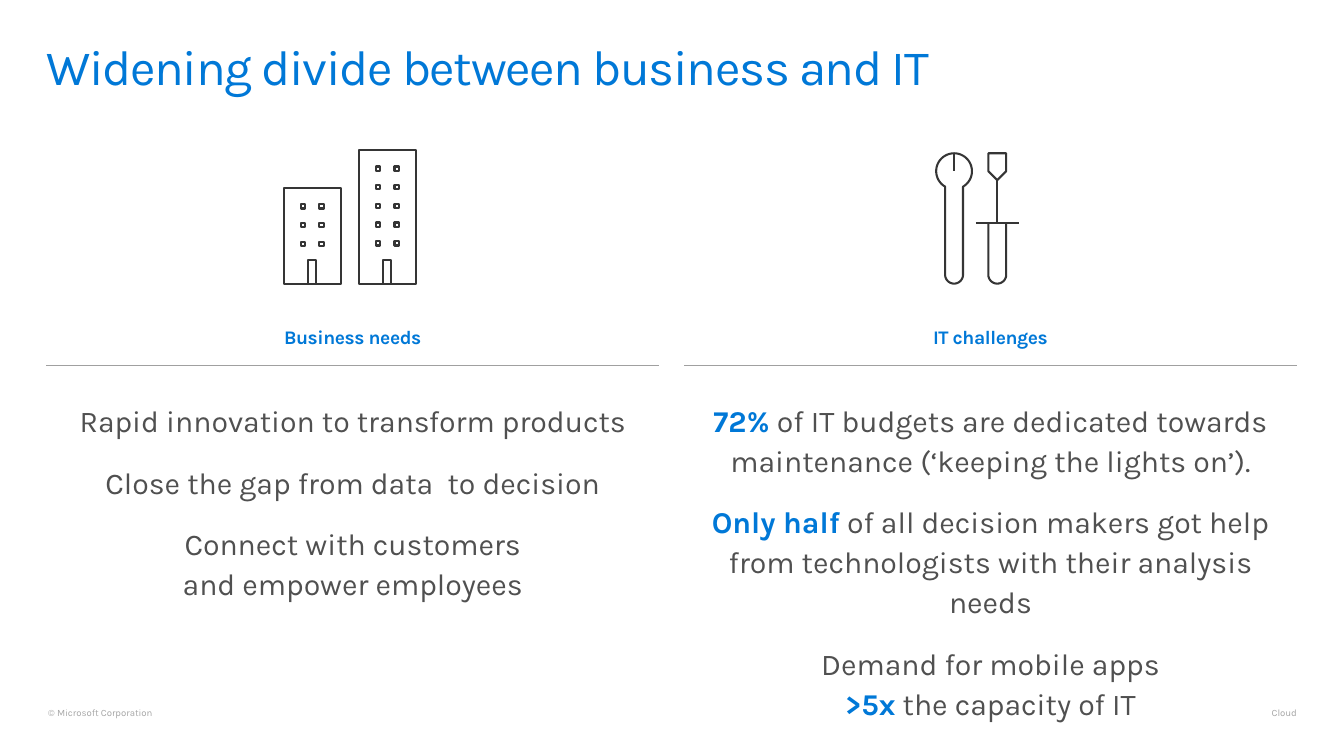
import math
from dataclasses import dataclass

from lxml import etree
from pptx import Presentation
from pptx.dml.color import RGBColor
from pptx.enum import shapes, text
from pptx.oxml import ns
from pptx.util import Cm, Pt


@dataclass(frozen=True)
class Theme:
    """Colours, font and type sizes of the slide."""
    accent: str = "0078D7"
    ink: str = "505050"
    icon: str = "353535"
    rule: str = "A0A0A0"
    muted: str = "A6A6A6"
    font: str = "Karla"
    title: int = 36
    body: int = 22
    label: int = 14
    footer: int = 7


THEME = Theme()
ALIGN = text.PP_ALIGN
BREAK = "\n"

BUSINESS_NEEDS = [
    ["Rapid innovation to transform products"],
    ["Close the gap from data  to decision"],
    ["Connect with customers", BREAK, "and empower employees"],
]
IT_CHALLENGES = [
    [("72%",), " of IT budgets are dedicated towards maintenance (‘keeping the lights on’)."],
    [("Only half",), " of all decision makers got help", BREAK,
     "from technologists with their analysis needs"],
    ["Demand for mobile apps", BREAK, (">5x",), " the capacity of IT"],
]


def apply(target, formats):
    """Set each attribute named in formats on target."""
    for name, value in formats.items():
        setattr(target, name, value)


def add_frame(slide, box, **formats):
    """Add a wrapping text box at box (cm) and return its text frame."""
    frame = slide.shapes.add_textbox(*map(Cm, box)).text_frame
    margins = dict.fromkeys(("margin_left", "margin_top", "margin_right", "margin_bottom"), 0)
    apply(frame, {"word_wrap": True, **margins, **formats})
    return frame


def add_run(paragraph, words, size, color, bold=False, tracking=0):
    """Append a formatted run; tracking is in hundredths of a point."""
    run = paragraph.add_run()
    run.text = words
    apply(run.font, {"name": THEME.font, "size": Pt(size), "bold": bold})
    run.font.color.rgb = RGBColor.from_string(color)
    if tracking:
        run.font._element.set("spc", str(tracking))


def add_line_of_text(slide, box, words, size, color, align=ALIGN.LEFT,
                     spacing=1.0, top=0, **run_formats):
    """Place a single paragraph in a box."""
    paragraph = add_frame(slide, box, margin_top=Cm(top)).paragraphs[0]
    apply(paragraph, {"alignment": align, "line_spacing": spacing})
    add_run(paragraph, words, size, color, **run_formats)


def add_outline(slide, left, top, contours):
    """Draw (points, closed) contours, in cm from left and top, as one line icon."""
    units = [([(x * 1000, y * 1000) for x, y in points], closed) for points, closed in contours]
    builder = slide.shapes.build_freeform(*units[0][0][0], scale=Cm(0.001))
    for index, (points, closed) in enumerate(units):
        if index:
            builder.move_to(*points[0])
        builder.add_line_segments(points[1:], close=closed)
    icon = builder.convert_to_shape(Cm(left), Cm(top))
    icon.shadow.inherit = False
    icon.fill.background()
    icon.line.color.rgb = RGBColor.from_string(THEME.icon)
    icon.line.width = Pt(1.5)


def rectangle(x, y, width, height):
    """Return a closed rectangular contour."""
    return [(x, y), (x + width, y), (x + width, y + height), (x, y + height)], True


def arc(x, y, radius, start, end, steps=40):
    """Return points along an arc, with angles in degrees clockwise from the right."""
    angles = [math.radians(start + (end - start) * i / steps) for i in range(steps + 1)]
    return [(x + radius * math.cos(a), y + radius * math.sin(a)) for a in angles]


def building(x, height, floors, ground=3.43):
    """Return the contours of a building with two windows on each floor and a door."""
    width, pitch, window = 1.47, 0.48, 0.11
    roof = ground - height
    windows = [rectangle(x + 0.44 + column * pitch, roof + 0.42 + floor * pitch, window, window)
               for floor in range(floors) for column in range(2)]
    door = rectangle(x + 0.63, ground - 0.6, 0.19, 0.6)
    return [rectangle(x, roof, width, height), door, *windows]


def draw_buildings(slide, left, top):
    """Draw the low and the high building."""
    add_outline(slide, left + 6.1, top, building(0, 2.46, 3) + building(1.93, 3.43, 5))


def draw_tools(slide, left, top):
    """Draw the wrench and the screwdriver."""
    radius, end = 0.23, 3.12
    wrench, driver, guard = 0.46, 1.57, 1.8
    head = arc(wrench, 0.46, 2 * radius, 60, -240)
    blade = [(driver - radius, 0), (driver + radius, 0), (driver + radius, 0.46),
             (driver, 0.69), (driver - radius, 0.46)]
    handle = [(driver - radius, guard), *arc(driver, end, radius, 180, 0),
              (driver + radius, guard)]
    add_outline(slide, left + 6.48, top + 0.08, [
        (head + arc(wrench, end, radius, 180, 0), True),
        ([(wrench, 0), (wrench, 0.46)], False),
        (blade, True),
        ([(driver, 0.69), (driver, guard)], False),
        ([(driver - 0.55, guard), (driver + 0.55, guard)], False),
        (handle, False),
    ])


def add_rule(slide, left, top, width):
    """Draw a thin horizontal rule."""
    rule = slide.shapes.add_connector(shapes.MSO_CONNECTOR.STRAIGHT,
                                      Cm(left), Cm(top), Cm(left + width), Cm(top))
    rule.line.color.rgb = RGBColor.from_string(THEME.rule)
    rule.line.width = Pt(1)
    etree.SubElement(rule._element.spPr, ns.qn("a:effectLst"))


def add_points(slide, box, points):
    """Fill a box with centred points; one-item tuples are emphasised."""
    frame = add_frame(slide, box, margin_left=Cm(0.25), margin_right=Cm(0.25),
                      margin_top=Cm(0.13), margin_bottom=Cm(0.13))
    for index, parts in enumerate(points):
        paragraph = frame.add_paragraph() if index else frame.paragraphs[0]
        apply(paragraph, {"alignment": ALIGN.CENTER, "line_spacing": 1.1,
                          "space_before": Pt(10 if index else 0), "space_after": Pt(6)})
        for part in parts:
            if part == BREAK:
                paragraph.add_line_break()
            elif isinstance(part, tuple):
                add_run(paragraph, part[0], THEME.body, THEME.accent, bold=True)
            else:
                add_run(paragraph, part, THEME.body, THEME.ink)


def add_column(slide, box, heading, draw_icon, points):
    """Place icon, heading, rule and points within one column."""
    left, top, width, height = box
    draw_icon(slide, left, top)
    add_line_of_text(slide, (left, top + 4.5, width, 0.61), heading, THEME.label,
                     THEME.accent, ALIGN.CENTER, bold=True, tracking=-30)
    add_rule(slide, left, top + 5.54, width)
    add_points(slide, (left, top + 6.25, width, height - 6.25), points)


def add_footer(slide, box):
    """Place the copyright line on the left and the product word on the right."""
    for words, align in (("© Microsoft Corporation", ALIGN.LEFT), ("Cloud", ALIGN.RIGHT)):
        add_line_of_text(slide, box, words, THEME.footer, THEME.muted, align, spacing=0.9)


def main():
    """Build the slide and save it."""
    deck = Presentation()
    apply(deck, {"slide_width": Cm(34.54), "slide_height": Cm(19.43)})
    slide = deck.slides.add_slide(deck.slide_layouts[6])
    left, width, gap = 1.19, 15.75, 0.64
    full = 2 * width + gap
    add_line_of_text(slide, (left, 0.64, full, 2.08), "Widening divide between business and IT",
                     THEME.title, THEME.accent, spacing=0.9, top=0.46, tracking=-100)
    columns = [("Business needs", draw_buildings, BUSINESS_NEEDS),
               ("IT challenges", draw_tools, IT_CHALLENGES)]
    for index, column in enumerate(columns):
        add_column(slide, (left + index * (width + gap), 3.86, width, 12.52), *column)
    add_footer(slide, (left + 0.05, 18.21, full - 0.05, 0.28))
    deck.save("out.pptx")


if __name__ == "__main__":
    main()
